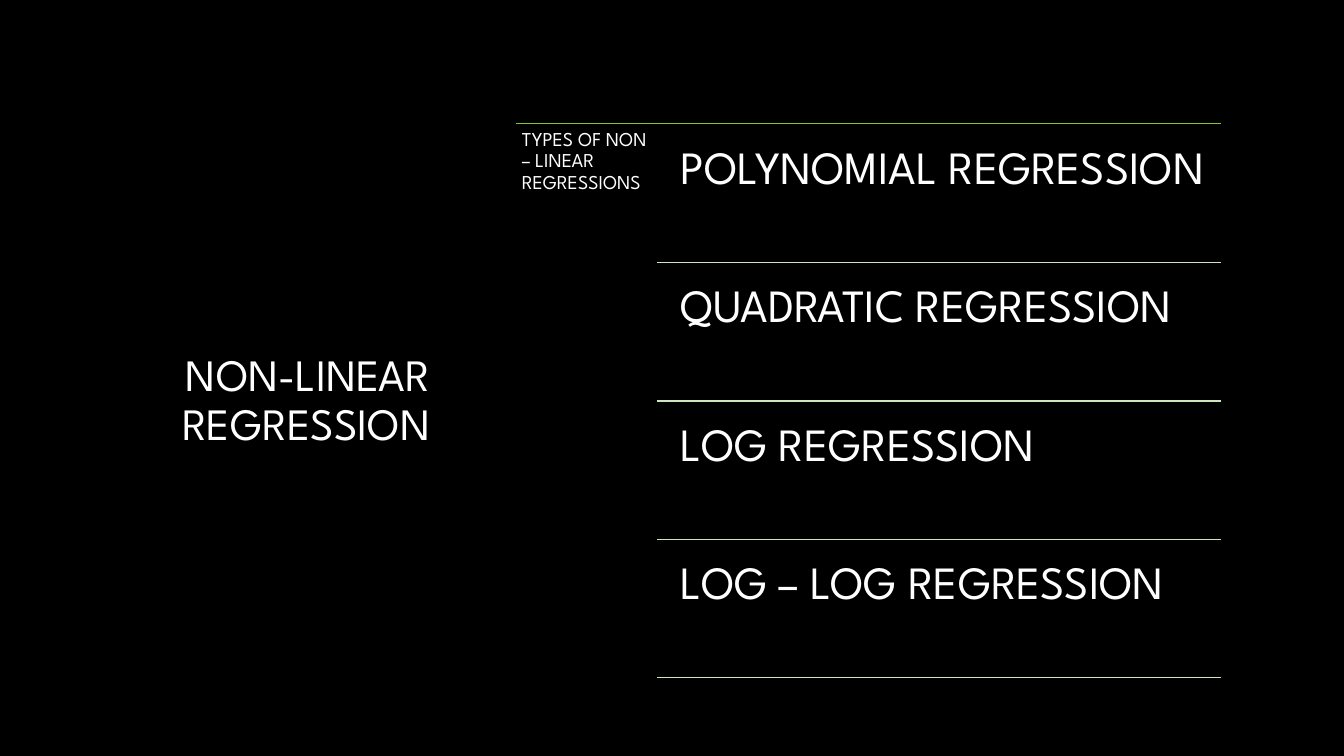
from pptx import Presentation
from pptx import util as u
from pptx.dml.color import RGBColor
from pptx.enum import shapes, text
from pptx.oxml.ns import qn
from lxml import etree

deck = Presentation()
deck.slide_width, deck.slide_height = u.Cm(33.87), u.Cm(19.05)
slide = deck.slides.add_slide(deck.slide_layouts[6])
slide.background.fill.solid()
slide.background.fill.fore_color.rgb = RGBColor.from_string("000000")


def write(words, left, top, width, height, size, inset=0.25, align="LEFT", anchor="TOP"):
    frame = slide.shapes.add_textbox(u.Cm(left), u.Cm(top), u.Cm(width), u.Cm(height)).text_frame
    frame.word_wrap = True
    frame.margin_left = frame.margin_right = u.Cm(inset)
    frame.margin_top = frame.margin_bottom = u.Cm(inset)
    frame.vertical_anchor = text.MSO_ANCHOR[anchor]
    paragraph = frame.paragraphs[0]
    paragraph.alignment = text.PP_ALIGN[align]
    paragraph.line_spacing = 0.9
    run = paragraph.add_run()
    run.text = words
    run.font.name = "League Spartan"
    run.font.size = u.Pt(size)
    run.font.color.rgb = RGBColor.from_string("FFFFFF")


def rule(left, top, color, weight):
    divider = slide.shapes.add_connector(
        shapes.MSO_CONNECTOR.STRAIGHT, u.Cm(left), u.Cm(top), u.Cm(right_edge), u.Cm(top))
    divider.line.color.rgb = RGBColor.from_string(color)
    divider.line.width = u.Pt(weight)
    etree.SubElement(divider._element.spPr, qn("a:effectLst"))


list_left, list_top, right_edge = 13, 3.12, 30.78
row_pitch = 3.49
regressions = [
    "POLYNOMIAL REGRESSION",
    "QUADRATIC REGRESSION",
    "LOG REGRESSION",
    "LOG – LOG REGRESSION",
]

write("NON-LINEAR REGRESSION", 1.9, 2.97, 9.2, 14.3, 32, align="RIGHT", anchor="MIDDLE")
rule(list_left, list_top, "84C72A", 0.75)
write("TYPES OF NON – LINEAR REGRESSIONS", list_left, list_top, 3.56, 14.12, 14, inset=0.15)

for row, regression in enumerate(regressions):
    row_top = list_top + row * row_pitch
    write(regression, 16.81, row_top + 0.17, 13.97, 3.33, 33, inset=0.35)
    rule(16.56, row_top + row_pitch, "CEE5BE", 1)

deck.save("out.pptx")
